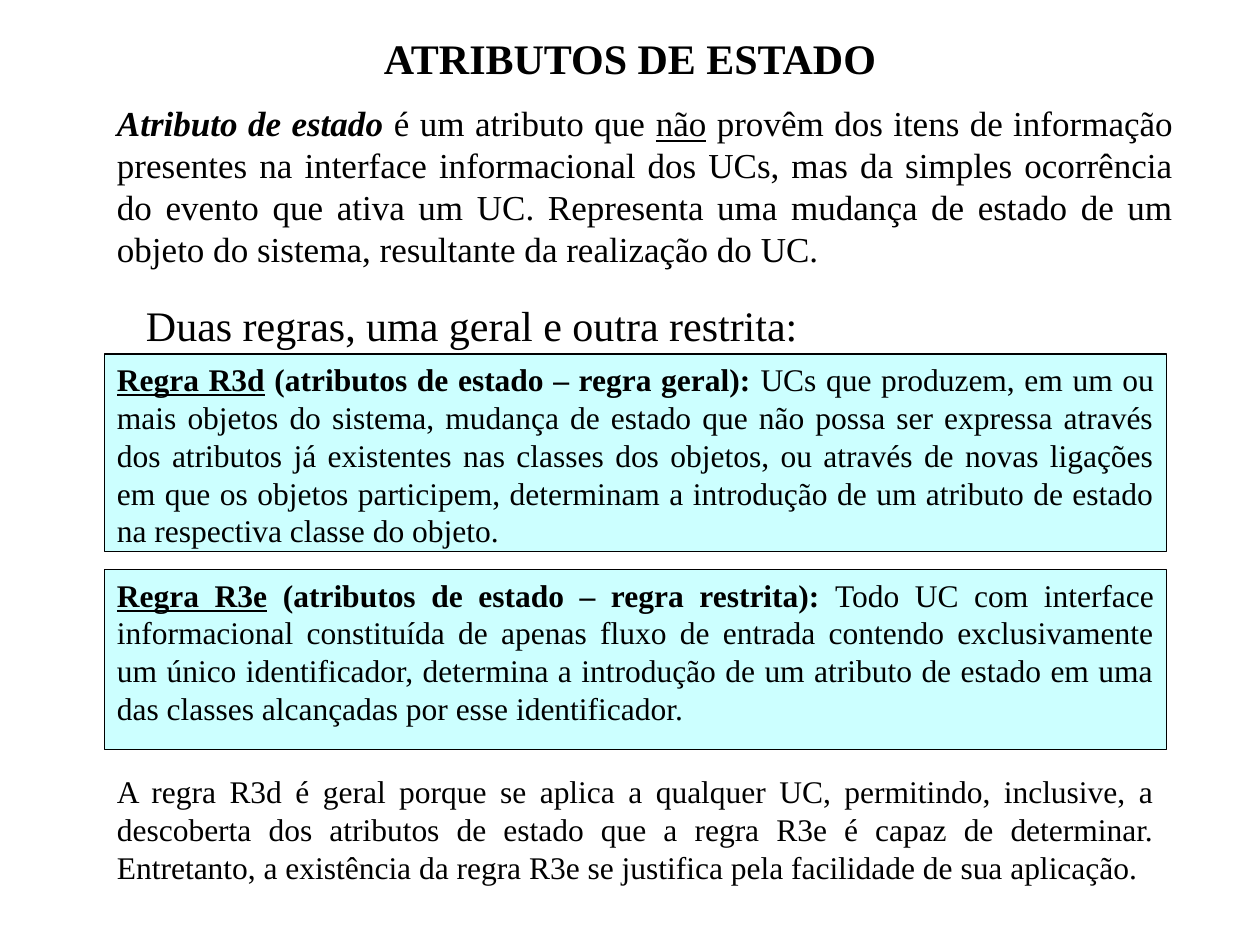
from pptx import Presentation
from pptx.dml.color import RGBColor
from pptx.enum.shapes import MSO_SHAPE
from pptx.enum.text import MSO_ANCHOR, PP_ALIGN
from pptx.util import Inches, Pt

BLACK = RGBColor(0x00, 0x00, 0x00)
LIGHT_CYAN = RGBColor(0xCC, 0xFF, 0xFF)
FONT = "Times New Roman"
LEFT = 0.83
RULE_WIDTH = 8.43

INTRO = [
    ("Atributo de estado", "bi"),
    (" é um atributo que ", ""),
    ("não", "u"),
    (" provêm dos itens de informação presentes na interface informacional "
     "dos UCs, mas da simples ocorrência do evento que ativa um UC. "
     "Representa uma mudança de estado de um objeto do sistema, resultante "
     "da realização do UC.", ""),
]
GENERAL_RULE = [
    ("Regra R3d", "bu"),
    (" (atributos de estado – regra geral): ", "b"),
    ("UCs que produzem, em um ou mais objetos do sistema, mudança de estado "
     "que não possa ser expressa através dos atributos já existentes nas "
     "classes dos objetos, ou através de novas ligações em que os objetos "
     "participem, determinam a introdução de um atributo de estado na "
     "respectiva classe do objeto.", ""),
]
RESTRICTED_RULE = [
    ("Regra R3e", "bu"),
    (" (atributos de estado – regra restrita):", "b"),
    (" Todo UC com interface informacional constituída de apenas fluxo de "
     "entrada contendo exclusivamente um único identificador, determina a "
     "introdução de um atributo de estado em uma das classes alcançadas por "
     "esse identificador.", ""),
]
CONCLUSION = [
    ("A regra R3d é geral porque se aplica a qualquer UC, permitindo, "
     "inclusive, a descoberta dos atributos de estado que a regra R3e é capaz "
     "de determinar. Entretanto, a existência da regra R3e se justifica pela "
     "facilidade de sua aplicação.", ""),
]


def write_text(shape, runs, size, align, anchor=MSO_ANCHOR.TOP):
    tf = shape.text_frame
    tf.word_wrap = True
    tf.vertical_anchor = anchor
    p = tf.paragraphs[0]
    p.alignment = align
    p.font.name = FONT
    p.font.size = Pt(size)
    p.font.color.rgb = BLACK
    for text, style in runs:
        r = p.add_run()
        r.text = text
        r.font.bold = "b" in style
        r.font.italic = "i" in style
        r.font.underline = "u" in style


def add_title(s, text):
    title = s.shapes.title
    title.left, title.top = Inches(1.25), Inches(0.25)
    title.width, title.height = Inches(7.5), Inches(0.42)
    tf = title.text_frame
    tf.margin_left = tf.margin_right = Inches(0.02)
    tf.margin_top = tf.margin_bottom = Inches(0.01)
    write_text(title, [(text, "b")], 24, PP_ALIGN.CENTER, MSO_ANCHOR.MIDDLE)


def add_text(s, x, y, w, h, runs, size, align=PP_ALIGN.JUSTIFY):
    box = s.shapes.add_textbox(Inches(x), Inches(y), Inches(w), Inches(h))
    write_text(box, runs, size, align)


def add_rule(s, y, h, runs):
    rule = s.shapes.add_shape(MSO_SHAPE.RECTANGLE, Inches(LEFT), Inches(y),
                              Inches(RULE_WIDTH), Inches(h))
    rule.shadow.inherit = False
    rule.fill.solid()
    rule.fill.fore_color.rgb = LIGHT_CYAN
    rule.line.color.rgb = BLACK
    rule.line.width = Pt(0.75)
    write_text(rule, runs, 18, PP_ALIGN.JUSTIFY)


def main():
    prs = Presentation()
    prs.slide_width, prs.slide_height = Inches(10), Inches(7.5)
    s = prs.slides.add_slide(prs.slide_layouts[5])
    add_title(s, "ATRIBUTOS DE ESTADO")
    add_text(s, LEFT, 0.76, 8.58, 1.44, INTRO, 20)
    add_text(s, 1.06, 2.33, 5.48, 0.5,
             [("Duas regras, uma geral e outra restrita:", "")], 24, PP_ALIGN.LEFT)
    add_rule(s, 2.81, 1.57, GENERAL_RULE)
    add_rule(s, 4.52, 1.43, RESTRICTED_RULE)
    add_text(s, LEFT, 6.08, RULE_WIDTH, 1, CONCLUSION, 18)
    prs.save("out.pptx")


if __name__ == "__main__":
    main()
